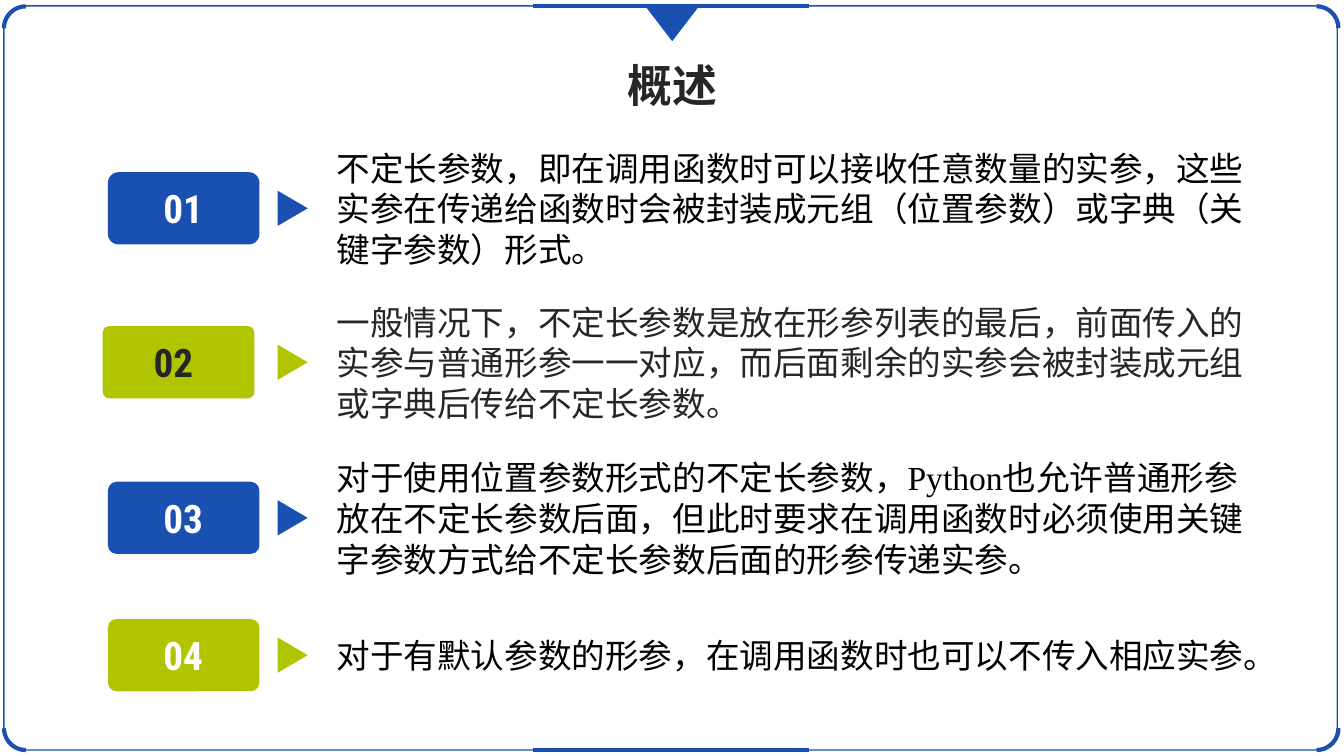
from pptx import Presentation
from pptx.dml.color import RGBColor
from pptx.enum.shapes import MSO_CONNECTOR, MSO_SHAPE
from pptx.enum.text import MSO_ANCHOR, PP_ALIGN
from pptx.oxml.ns import qn
from pptx.util import Cm, Pt
from lxml.etree import SubElement

BLUE, GREEN, DARK, BLACK, WHITE = "1950B2", "B1C400", "262626", "000000", "FFFFFF"
SANS, ROMAN, NARROW = "Noto Sans CJK SC", "Times New Roman", "Roboto Condensed"

deck = Presentation()
deck.slide_width, deck.slide_height = Cm(33.87), Cm(19.05)
slide = deck.slides.add_slide(deck.slide_layouts[6])


def add_form(kind, left, top, width, height, fill=None, line=None, weight=1, turn=0, round=None):
    form = slide.shapes.add_shape(kind, Cm(left), Cm(top), Cm(width), Cm(height))
    form.shadow.inherit = False
    form.rotation = turn
    if round is not None:
        form.adjustments[0] = round
    if fill:
        form.fill.solid()
        form.fill.fore_color.rgb = RGBColor.from_string(fill)
    else:
        form.fill.background()
    if line:
        form.line.color.rgb = RGBColor.from_string(line)
        form.line.width = Pt(weight)
    else:
        form.line.fill.background()


def add_text(text, left, top, width, height, size=24, font=SANS, color=BLACK,
             bold=False, align=PP_ALIGN.LEFT, pitch=None):
    box = slide.shapes.add_textbox(Cm(left), Cm(top), Cm(width), Cm(height))
    frame = box.text_frame
    frame.word_wrap = True
    frame.vertical_anchor = MSO_ANCHOR.MIDDLE
    para = frame.paragraphs[0]
    para.alignment = align
    if pitch:
        para.line_spacing = Pt(pitch)
    run = para.add_run()
    run.text = text
    run.font.size, run.font.bold, run.font.name = Pt(size), bold, font
    run.font.color.rgb = RGBColor.from_string(color)
    SubElement(run._r.get_or_add_rPr(), qn("a:ea")).set("typeface", SANS)


# Frame with accented corners and edges
add_form(MSO_SHAPE.ROUNDED_RECTANGLE, 0.1, 0.15, 33.6, 18.75, line=BLUE, round=0.029)
corners = [(0.1, 0.16, 270), (32.63, 0.16, 0), (32.63, 17.8, 90), (0.1, 17.8, 180)]
for left, top, turn in corners:
    add_form(MSO_SHAPE.ARC, left, top, 1.1, 1.1, line=BLUE, weight=3, turn=turn)
for top in (0.15, 18.9):
    edge = slide.shapes.add_connector(MSO_CONNECTOR.STRAIGHT, Cm(13.44), Cm(top), Cm(20.4), Cm(top))
    edge.line.color.rgb = RGBColor.from_string(BLUE)
    edge.line.width = Pt(3)
    SubElement(edge._element.spPr, qn("a:effectLst"))
add_form(MSO_SHAPE.ISOSCELES_TRIANGLE, 16.28, 0.15, 1.32, 0.86, fill=BLUE, line=BLUE, turn=180)

add_text("概述", 15.05, 1.32, 3.8, 1.63, size=32, color=DARK, bold=True,
         align=PP_ALIGN.CENTER, pitch=38.5)

# Badge left, label left, badge top, corner, fill, label colour, text width, font, text colour, text
points = [
    (2.72, 2.84, 4.34, 0.147, BLUE, WHITE, 23.5, SANS, BLACK,
     "不定长参数，即在调用函数时可以接收任意数量的实参，这些实参在传递给函数时会被封装成元组（位置参数）或字典（关键字参数）形式。"),
    (2.59, 2.59, 8.22, 0.087, GREEN, DARK, 24.1, SANS, DARK,
     "一般情况下，不定长参数是放在形参列表的最后，前面传入的实参与普通形参一一对应，而后面剩余的实参会被封装成元组或字典后传给不定长参数。"),
    (2.72, 2.84, 12.14, 0.121, BLUE, WHITE, 23.5, ROMAN, BLACK,
     "对于使用位置参数形式的不定长参数，Python也允许普通形参放在不定长参数后面，但此时要求在调用函数时必须使用关键字参数方式给不定长参数后面的形参传递实参。"),
    (2.72, 2.84, 15.6, 0.121, GREEN, WHITE, 23.5, SANS, BLACK,
     "对于有默认参数的形参，在调用函数时也可以不传入相应实参。"),
]
for number, point in enumerate(points, 1):
    left, label, top, round, fill, ink, width, font, color, text = point
    middle = top + 0.91
    add_form(MSO_SHAPE.ROUNDED_RECTANGLE, left, top, 3.82, 1.82, fill=fill, round=round)
    add_text(f"{number:02}", label, middle - 0.73, 3.56, 1.46, size=28, font=NARROW,
             color=ink, bold=True, align=PP_ALIGN.CENTER)
    add_form(MSO_SHAPE.ISOSCELES_TRIANGLE, 6.93, middle - 0.38, 0.89, 0.76, fill=fill, turn=90)
    add_text(text, 8.23, middle - 1.66, width, 3.32, font=font, color=color, pitch=29)

deck.save("out.pptx")
